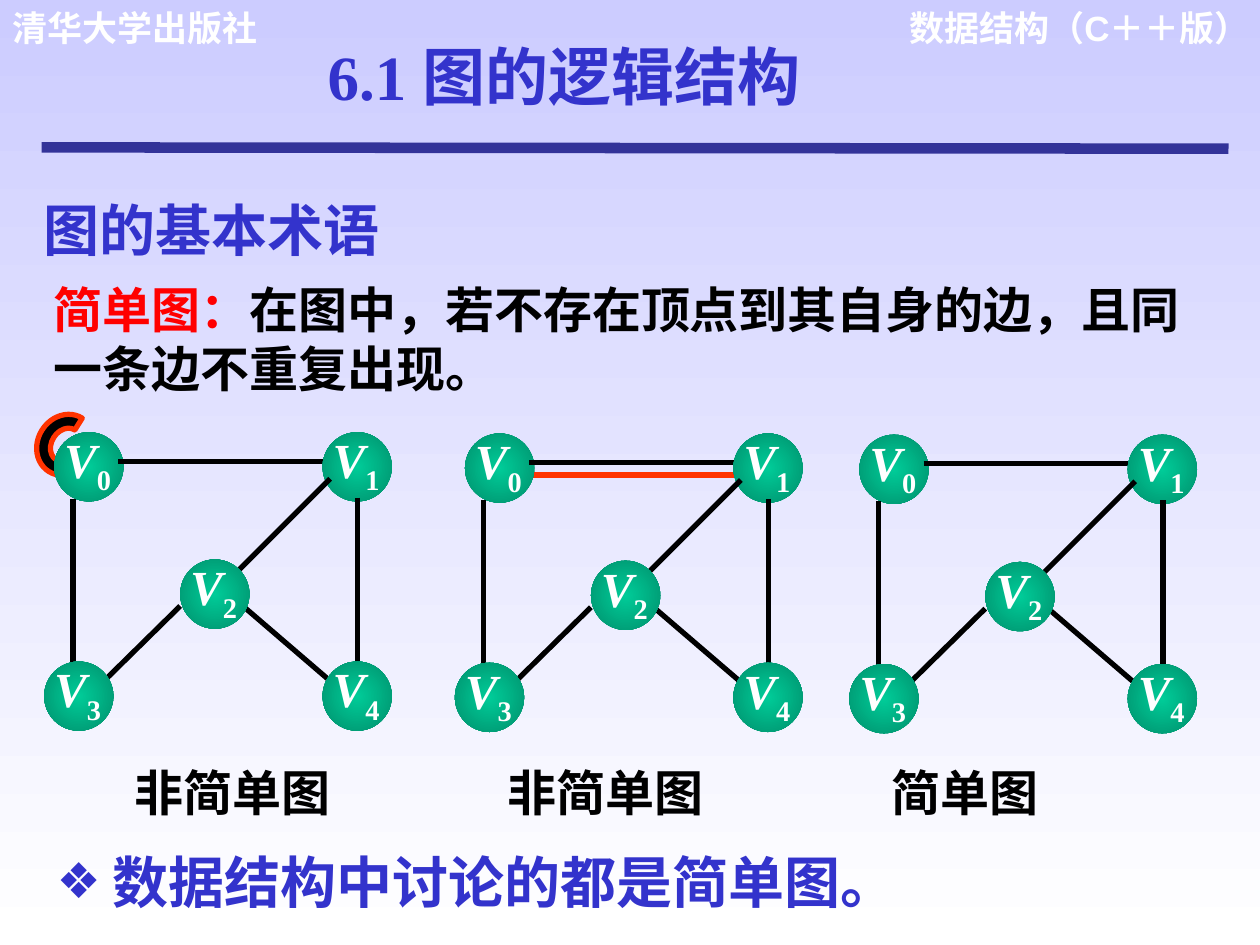
from dataclasses import dataclass

from lxml.etree import SubElement
from pptx import Presentation
from pptx.dml.color import RGBColor
from pptx.enum.shapes import MSO_CONNECTOR, MSO_SHAPE
from pptx.enum.text import MSO_ANCHOR, MSO_AUTO_SIZE, PP_ALIGN
from pptx.oxml import parse_xml
from pptx.oxml.ns import nsdecls, qn
from pptx.util import Inches, Pt


@dataclass(frozen=True)
class Theme:
    sans: str = "Arial"
    serif: str = "Times New Roman"
    white: str = "FFFFFF"
    black: str = "000000"
    blue: str = "3333CC"
    rule: str = "333399"
    red: str = "FF0000"
    orange: str = "FF3300"
    sky: str = "CCCCFF"
    vertex_center: str = "00CC99"
    vertex_edge: str = "008F6B"
    header_size: int = 20
    title_size: int = 36
    heading_size: int = 32
    text_size: int = 28
    edge_width: int = 3
    rule_width: int = 6


THEME = Theme()
VERTEX_SIZE = 0.55
VERTICES = [(0.43, 3.43), (2.56, 3.43), (1.43, 4.44), (0.35, 5.25), (2.56, 5.25)]
TOP_EDGE = ((0.94, 3.66), (2.59, 3.66))
LOWER_EDGES = [
    ((1.43, 4.81), (0.81, 5.42)),
    ((2.84, 3.95), (2.84, 5.3)),
    ((2.62, 3.8), (1.9, 4.52)),
    ((1.94, 4.82), (2.65, 5.43)),
    ((0.58, 3.96), (0.58, 5.28)),
]
GRAPH_OFFSETS = [(0, 0), (3.26, 0.01), (6.39, 0.02)]
CAPTIONS = [(0.97, "非简单图"), (3.93, "非简单图"), (6.98, "简单图")]


def color(value):
    return RGBColor.from_string(value)


def write_run(paragraph, text, *, size=THEME.text_size, font=THEME.sans,
              fill=THEME.black, italic=False, subscript=False):
    run = paragraph.add_run()
    run.text = text
    run.font.size = Pt(size)
    run.font.name = font
    run.font.bold = True
    run.font.italic = italic
    run.font.color.rgb = color(fill)
    if subscript:
        run.font._element.set("baseline", "-25000")
    return run


def set_gradient(fill, start, end):
    fill.gradient()
    for stop, value in zip(fill.gradient_stops, (start, end)):
        stop.color.rgb = color(value)


def add_text_shadow(run):
    shadow = parse_xml(
        f'<a:effectLst {nsdecls("a")}><a:outerShdw blurRad="38100" dist="38100" '
        'dir="2700000" algn="tl"><a:srgbClr val="000000"><a:alpha val="43000"/>'
        '</a:srgbClr></a:outerShdw></a:effectLst>')
    run.font._element.find(qn("a:solidFill")).addnext(shadow)


def set_bullet(paragraph, character, fill, indent):
    properties = paragraph._p.get_or_add_pPr()
    properties.set("marL", str(indent))
    properties.set("indent", str(-indent))
    bullet_color = SubElement(properties, qn("a:buClr"))
    SubElement(bullet_color, qn("a:srgbClr")).set("val", fill)
    SubElement(properties, qn("a:buSzPct")).set("val", "88000")
    SubElement(properties, qn("a:buChar")).set("char", character)


class SlideBuilder:
    def __init__(self, slide, theme):
        self.slide = slide
        self.theme = theme

    def background(self):
        fill = self.slide.background.fill
        set_gradient(fill, self.theme.sky, self.theme.white)
        fill.gradient_angle = 270

    def frame(self, shape, box, insets=(0.1, 0.05, 0.1, 0.05), align=PP_ALIGN.LEFT):
        """Place a text shape and return its first paragraph."""
        shape.left, shape.top, shape.width, shape.height = map(Inches, box)
        frame = shape.text_frame
        frame.word_wrap = True
        frame.auto_size = MSO_AUTO_SIZE.NONE
        frame.vertical_anchor = MSO_ANCHOR.TOP
        (frame.margin_left, frame.margin_top,
         frame.margin_right, frame.margin_bottom) = map(Inches, insets)
        paragraph = frame.paragraphs[0]
        paragraph.alignment = align
        paragraph.space_before = Pt(0)
        return paragraph

    def text_box(self, box, **layout):
        shape = self.slide.shapes.add_textbox(*map(Inches, box))
        return self.frame(shape, box, **layout)

    def line(self, start, end, *, fill, width):
        connector = self.slide.shapes.add_connector(
            MSO_CONNECTOR.STRAIGHT, *map(Inches, (*start, *end)))
        connector.line.color.rgb = color(fill)
        connector.line.width = Pt(width)
        SubElement(connector._element.spPr, qn("a:effectLst"))

    def edge(self, points, offset=(0, 0), fill=THEME.black):
        start, end = [(x + offset[0], y + offset[1]) for x, y in points]
        self.line(start, end, fill=fill, width=self.theme.edge_width)

    def vertex(self, number, offset):
        left, top = (a + b for a, b in zip(VERTICES[number], offset))
        shape = self.slide.shapes.add_shape(
            MSO_SHAPE.OVAL, *map(Inches, (left, top, VERTEX_SIZE, VERTEX_SIZE)))
        shape.shadow.inherit = False
        shape.line.fill.background()
        set_gradient(shape.fill, self.theme.vertex_center, self.theme.vertex_edge)
        gradient = shape._element.spPr.find(qn("a:gradFill"))
        gradient.remove(gradient.find(qn("a:lin")))
        gradient.append(parse_xml(
            f'<a:path {nsdecls("a")} path="circle">'
            '<a:fillToRect l="50000" t="50000" r="50000" b="50000"/></a:path>'))
        label = self.text_box((left + 0.07, top - 0.05, 0.51, 0.65),
                              insets=(0.01, 0.03, 0, 0.01), align=PP_ALIGN.JUSTIFY)
        style = {"font": self.theme.serif, "fill": self.theme.white}
        write_run(label, "V", italic=True, **style)
        write_run(label, str(number), subscript=True, **style)

    def graph(self, offset):
        self.vertex(0, offset)
        self.edge(TOP_EDGE, offset)
        self.vertex(1, offset)
        for points in LOWER_EDGES:
            self.edge(points, offset)
        for number in (2, 3, 4):
            self.vertex(number, offset)

    def self_loop(self):
        shape = self.slide.shapes.add_shape(
            MSO_SHAPE.BLOCK_ARC, *map(Inches, (0.27, 3.31, 0.5, 0.44)))
        for index, value in enumerate((91.64, 0.11, 0.25)):
            shape.adjustments[index] = value
        shape.rotation = 302
        shape.shadow.inherit = False
        shape.fill.solid()
        shape.fill.fore_color.rgb = color(self.theme.black)
        shape.line.color.rgb = color(self.theme.orange)
        shape.line.width = Pt(self.theme.edge_width)


def main():
    presentation = Presentation()
    presentation.slide_width, presentation.slide_height = Inches(10), Inches(7.5)
    slide = presentation.slides.add_slide(presentation.slide_layouts[1])
    builder = SlideBuilder(slide, THEME)
    builder.background()

    header = {"size": THEME.header_size, "fill": THEME.white}
    write_run(builder.text_box((7, 0, 3.02, 0.43), align=PP_ALIGN.RIGHT),
              "数据结构（C＋＋版）", **header)
    write_run(builder.text_box((0, 0, 2.71, 0.43)), "清华大学出版社", **header)
    builder.line((0.33, 1.17), (9.75, 1.18), fill=THEME.rule, width=THEME.rule_width)

    title = builder.frame(slide.shapes.title, (2.5, 0.25, 4.17, 0.7))
    add_text_shadow(write_run(title, "6.1 图的逻辑结构", size=THEME.title_size,
                              font=THEME.serif, fill=THEME.blue))
    heading = {"size": THEME.heading_size, "fill": THEME.blue}
    write_run(builder.text_box((0.25, 1.5, 5.33, 0.63)), "图的基本术语", **heading)

    definition = builder.text_box((0.33, 2.17, 9.33, 1.03))
    write_run(definition, "简单图：", font=THEME.serif, fill=THEME.red)
    write_run(definition, "在图中，若不存在顶点到其自身的边，且同一条边不重复出现。",
              font=THEME.serif)

    builder.self_loop()
    builder.edge(((4.19, 3.77), (5.85, 3.77)), fill=THEME.orange)
    for left, caption in CAPTIONS:
        write_run(builder.text_box((left, 6, 1.9, 0.57)), caption)

    conclusion = builder.frame(slide.placeholders[1], (0.35, 6.68, 9.42, 0.63))
    set_bullet(conclusion, "❖", THEME.blue, Inches(0.44))
    write_run(conclusion, "数据结构中讨论的都是简单图。", **heading)

    for offset in GRAPH_OFFSETS:
        builder.graph(offset)
    presentation.save("out.pptx")


if __name__ == "__main__":
    main()
